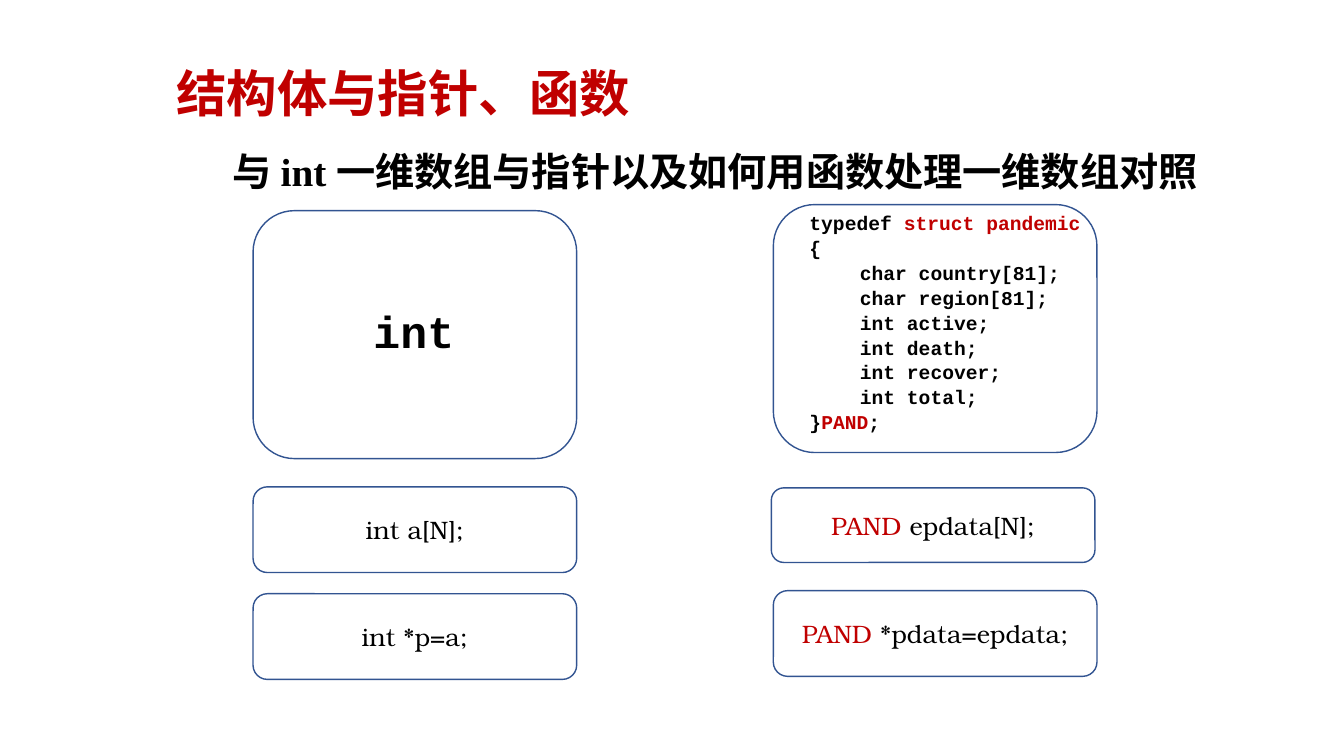
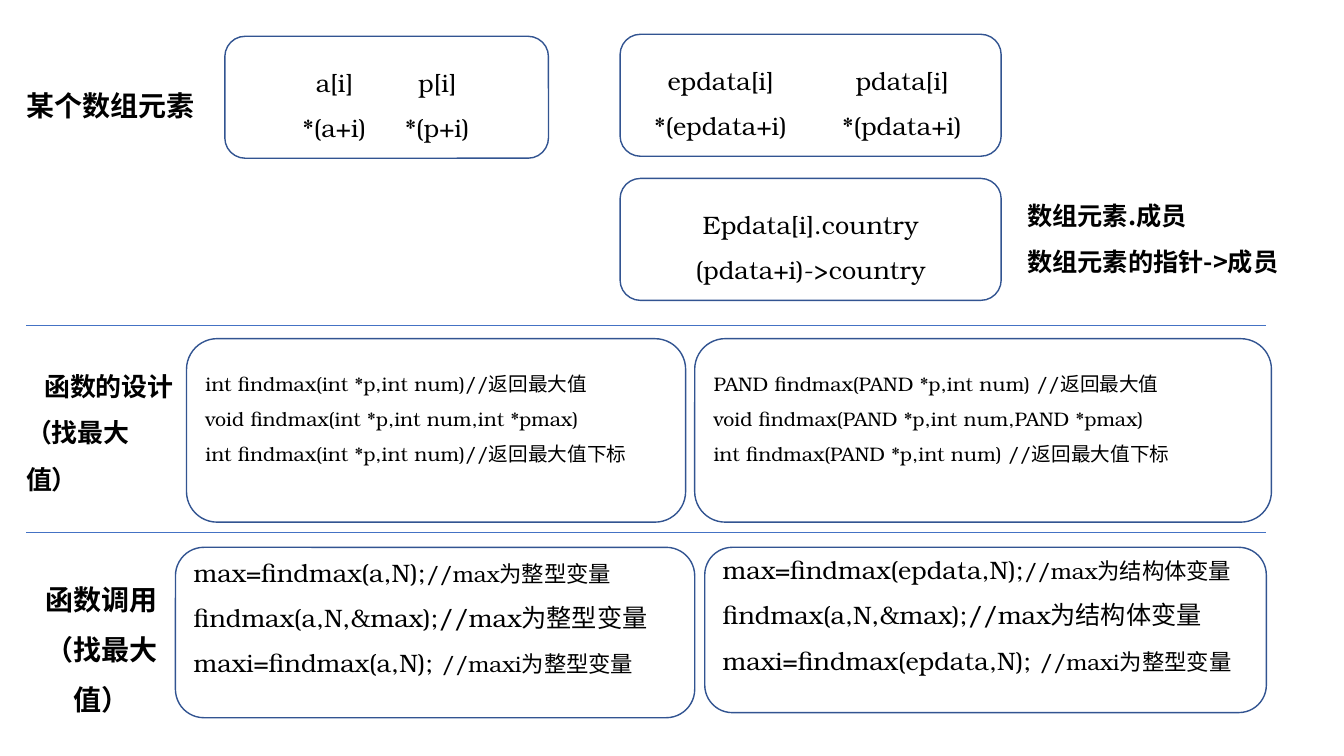
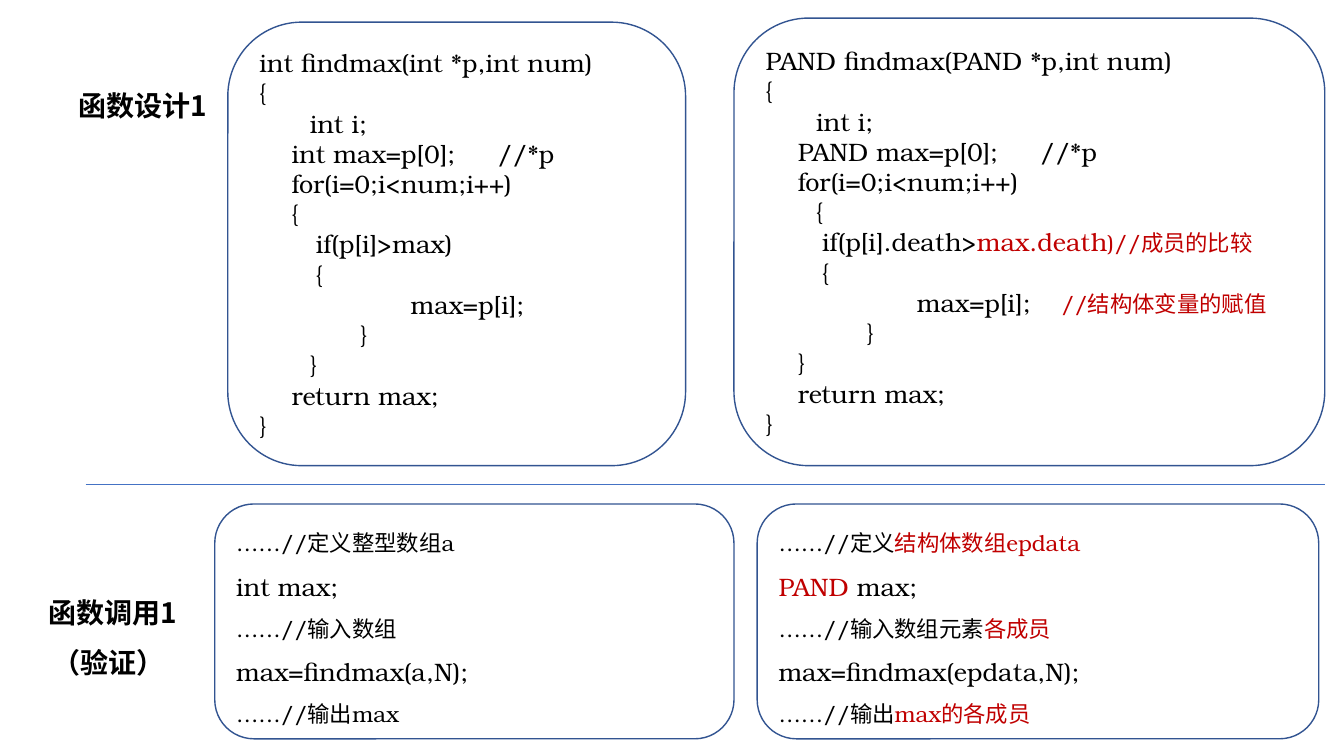
from lxml.etree import SubElement
from pptx import Presentation
from pptx.dml.color import RGBColor
from pptx.enum.shapes import MSO_CONNECTOR, MSO_SHAPE
from pptx.enum.text import MSO_ANCHOR, PP_ALIGN
from pptx.oxml.ns import qn
from pptx.util import Inches, Pt

BLACK = RGBColor(0x00, 0x00, 0x00)
RED = RGBColor(0xC0, 0x00, 0x00)
OUTLINE = RGBColor(0x32, 0x54, 0x91)
RULE = RGBColor(0x44, 0x72, 0xC4)

HAN = "Noto Sans CJK SC"
SERIF = "TeX Gyre Bonum"
MONO = "Courier New"

CODE = {"name": SERIF, "size": Pt(18)}
LABEL = {"name": HAN, "size": Pt(20), "bold": True}
STRUCT = {"name": MONO, "size": Pt(14), "bold": True}
ACCENT = {"color": RED}
SMALL = {"size": Pt(16)}
SMALL_ACCENT = {**SMALL, **ACCENT}

CENTER = {"alignment": PP_ALIGN.CENTER}
LOOSE = {"line_spacing": 1.5}
TIGHT = {"line_spacing": 0.85, "space_before": Pt(3.5)}


def line(*runs, stops=(), align="l"):
    return runs, stops, align


class Deck:
    def __init__(self):
        self.presentation = Presentation()
        self.presentation.slide_width = Inches(13.33)
        self.presentation.slide_height = Inches(7.5)
        self.slide = None

    def new_slide(self):
        blank = self.presentation.slide_layouts[6]
        self.slide = self.presentation.slides.add_slide(blank)

    def add_lines(self, shape, lines, font, layout, frame_format):
        frame = shape.text_frame
        for key, value in {"word_wrap": True, **frame_format}.items():
            setattr(frame, key, value)
        for index, entry in enumerate(lines):
            runs, stops, align = line(entry) if isinstance(entry, str) else entry
            paragraph = frame.paragraphs[0] if index == 0 else frame.add_paragraph()
            for key, value in {"alignment": PP_ALIGN.LEFT, **layout}.items():
                setattr(paragraph, key, value)
            self.set_stops(paragraph, stops, align)
            for run in runs:
                text, change = (run, {}) if isinstance(run, str) else run
                self.add_run(paragraph, text, {"color": BLACK, **font, **change})

    def set_stops(self, paragraph, stops, align):
        if stops:
            tabs = SubElement(paragraph._p.get_or_add_pPr(), qn("a:tabLst"))
            for stop in stops:
                SubElement(tabs, qn("a:tab"), pos=str(Inches(stop)), algn=align)

    def add_run(self, paragraph, text, style):
        run = paragraph.add_run()
        run.text = text
        for key, value in style.items():
            if key == "color":
                run.font.color.rgb = value
            else:
                setattr(run.font, key, value)
        SubElement(run._r.get_or_add_rPr(), qn("a:ea"), typeface=HAN)

    def text(self, place, lines, font, layout=LOOSE, anchor=MSO_ANCHOR.TOP, indent=0):
        box = self.slide.shapes.add_textbox(*map(Inches, place))
        self.add_lines(box, lines, font, layout, {"vertical_anchor": anchor})
        if indent:
            box.text_frame.paragraphs[0]._p.get_or_add_pPr().set(
                "indent", str(Inches(indent)))
        return box

    def panel(self, place, lines=(), font=CODE, layout=LOOSE, bottom=0.05):
        panel = self.slide.shapes.add_shape(
            MSO_SHAPE.ROUNDED_RECTANGLE, *map(Inches, place))
        panel.shadow.inherit = False
        panel.fill.background()
        panel.line.color.rgb = OUTLINE
        panel.line.width = Pt(1)
        self.add_lines(panel, lines, font, layout,
                       {"vertical_anchor": MSO_ANCHOR.MIDDLE,
                        "margin_bottom": Inches(bottom)})
        return panel

    def group(self, *members):
        self.slide.shapes.add_group_shape(members)

    def rule(self, left, right, top):
        rule = self.slide.shapes.add_connector(
            MSO_CONNECTOR.STRAIGHT, *map(Inches, (left, top, right, top)))
        rule.line.color.rgb = RULE
        rule.line.width = Pt(0.5)
        SubElement(rule._element.spPr, qn("a:effectLst"))


def call_lines(array, kind):
    return [
        line(f"max=findmax({array},N);", (f"//max为{kind}变量", SMALL)),
        f"findmax(a,N,&max);//max为{kind}变量",
        line(f"maxi=findmax({array},N); ", ("//maxi为整型变量", SMALL)),
    ]


def findmax_lines(kind, comment, opening, closing, compare, assign):
    return [
        f"{kind} findmax({kind} *p,int num)",
        "{",
        line("\tint i;", stops=[0.5]),
        line(f"\t{kind} max=p[0];\t//*p", stops=[0.32, comment]),
        line("\tfor(i=0;i<num;i++)", stops=[0.32]),
        line("\t{", stops=[opening]),
        line(*compare, stops=[0.56]),
        line("\t{", stops=[0.56]),
        line(*assign, stops=[1.5, 2.93]),
        line("\t}", stops=[1]),
        line("\t}", stops=[closing]),
        line("\treturn max;", stops=[0.32]),
        "}",
    ]


deck = Deck()

deck.new_slide()
deck.text((1.65, 0.64, 11, 1.26), ["结构体与指针、函数"],
          {**LABEL, "size": Pt(36), **ACCENT}, {"line_spacing": 0.9})
deck.text((2.21, 1.18, 11, 1.15),
          [line("与 ", ("int ", {"name": "Times New Roman"}),
                "一维数组与指针以及如何用函数处理一维数组对照")],
          {**LABEL, "size": Pt(28)})
declarations = [
    ((2.51, 4.83, 3.21, 0.85), "int a[N];"),
    ((7.65, 4.84, 3.21, 0.74), line(("PAND ", ACCENT), "epdata[N];")),
    ((2.51, 5.89, 3.21, 0.85), "int *p=a;"),
    ((7.67, 5.86, 3.21, 0.85), line(("PAND", ACCENT), " *pdata=epdata;")),
]
for place, declaration in declarations:
    deck.panel(place, [declaration], layout=CENTER)
deck.group(
    deck.text((2.21, 2.15, 3.79, 2.35), ["int"], {**STRUCT, "size": Pt(32)},
              {**TIGHT, **CENTER}, MSO_ANCHOR.MIDDLE),
    deck.panel((2.51, 2.09, 3.21, 2.46)))
members = ["char country[81];", "char region[81];", "int active;",
           "int death;", "int recover;", "int total;"]
deck.group(
    deck.text((7.93, 2.08, 3.79, 2.35),
              [line("typedef ", ("struct pandemic", ACCENT)), "{",
               *[line(f"\t{member}", stops=[0.5]) for member in members],
               line("}", ("PAND", ACCENT), ";")],
              STRUCT, TIGHT),
    deck.panel((7.67, 2.03, 3.21, 2.46)))

deck.new_slide()
elements = [
    ((2.23, 0.36, 3.21, 1.21), (0.93, 1.95),
     ["\ta[i]\tp[i]", "\t*(a+i)\t*(p+i)"]),
    ((6.15, 0.34, 3.78, 1.21), (0.84, 2.64),
     ["\tepdata[i]\tpdata[i]", "\t*(epdata+i)\t*(pdata+i)"]),
]
for place, columns, rows in elements:
    deck.panel(place, [line(row, stops=columns, align="ctr") for row in rows])
deck.text((0.16, 0.66, 2.07, 1.15), ["某个数组元素"], LABEL)
deck.panel((6.15, 1.77, 3.78, 1.21),
           ["Epdata[i].country", "(pdata+i)->country"], layout={**LOOSE, **CENTER})
deck.text((10.09, 1.79, 2.85, 1.15), ["数组元素.成员", "数组元素的指针->成员"],
          {**LABEL, "size": Pt(18)})
for top in (3.23, 5.28):
    deck.rule(0.26, 12.56, top)
deck.text((0.16, 3.47, 1.69, 1.15), ["函数的设计（找最大值）"],
          {**LABEL, "size": Pt(18.5)}, indent=0.18)
deck.text((0.16, 5.56, 1.69, 1.15), ["函数调用", "（找最大值）"],
          LABEL, {**LOOSE, **CENTER})
prototypes = [((1.85, 3.36, 4.95, 1.82), "int", ""),
              ((6.89, 3.36, 5.72, 1.82), "PAND", " ")]
for place, kind, gap in prototypes:
    deck.panel(place,
               [f"{kind} findmax({kind} *p,int num){gap}//返回最大值",
                f"void findmax({kind} *p,int num,{kind} *pmax)",
                f"int findmax({kind} *p,int num){gap}//返回最大值下标"],
               {**CODE, "size": Pt(14)}, bottom=0.4)
calls = [((1.74, 5.43, 5.15, 1.69), "a", "整型"),
         ((6.99, 5.43, 5.57, 1.64), "epdata", "结构体")]
for place, array, kind in calls:
    deck.panel(place, call_lines(array, kind), bottom=0.5)

deck.new_slide()
deck.text((0.68, 0.66, 2.07, 1.15), ["函数设计1"], LABEL)
deck.text((0.23, 5.69, 1.69, 1.15), ["函数调用1（验证）"], LABEL,
          {**LOOSE, **CENTER}, indent=0.08)
deck.rule(0.85, 13.14, 4.81)
deck.panel((2.26, 0.22, 4.54, 4.4),
           findmax_lines("int", 2.36, 0.32, 0.5, ["\tif(p[i]>max)"], ["\tmax=p[i];"]),
           layout={})
deck.panel((7.28, 0.18, 5.86, 4.44),
           findmax_lines("PAND", 2.72, 0.5, 0.32,
                         ["\tif(p[i].death>", ("max.death", ACCENT),
                          (")//成员的比较", SMALL_ACCENT)],
                         ["\tmax=p[i];", ("\t//结构体变量的赋值", SMALL_ACCENT)]),
           layout={})
deck.panel((2.13, 5, 5.15, 2.33),
           [line(("……//定义整型数组a", SMALL)),
            "int max;",
            line(("……//输入数组", SMALL)),
            "max=findmax(a,N);",
            line(("……//输出max", SMALL))])
deck.panel((7.51, 5, 5.57, 2.33),
           [line(("……//定义", SMALL), ("结构体数组epdata", SMALL_ACCENT)),
            line(("PAND", ACCENT), " max;"),
            line(("……//输入数组元素", SMALL), ("各成员", SMALL_ACCENT)),
            "max=findmax(epdata,N);",
            line(("……//输出", SMALL), ("max的各成员", SMALL_ACCENT))])

deck.presentation.save("out.pptx")
